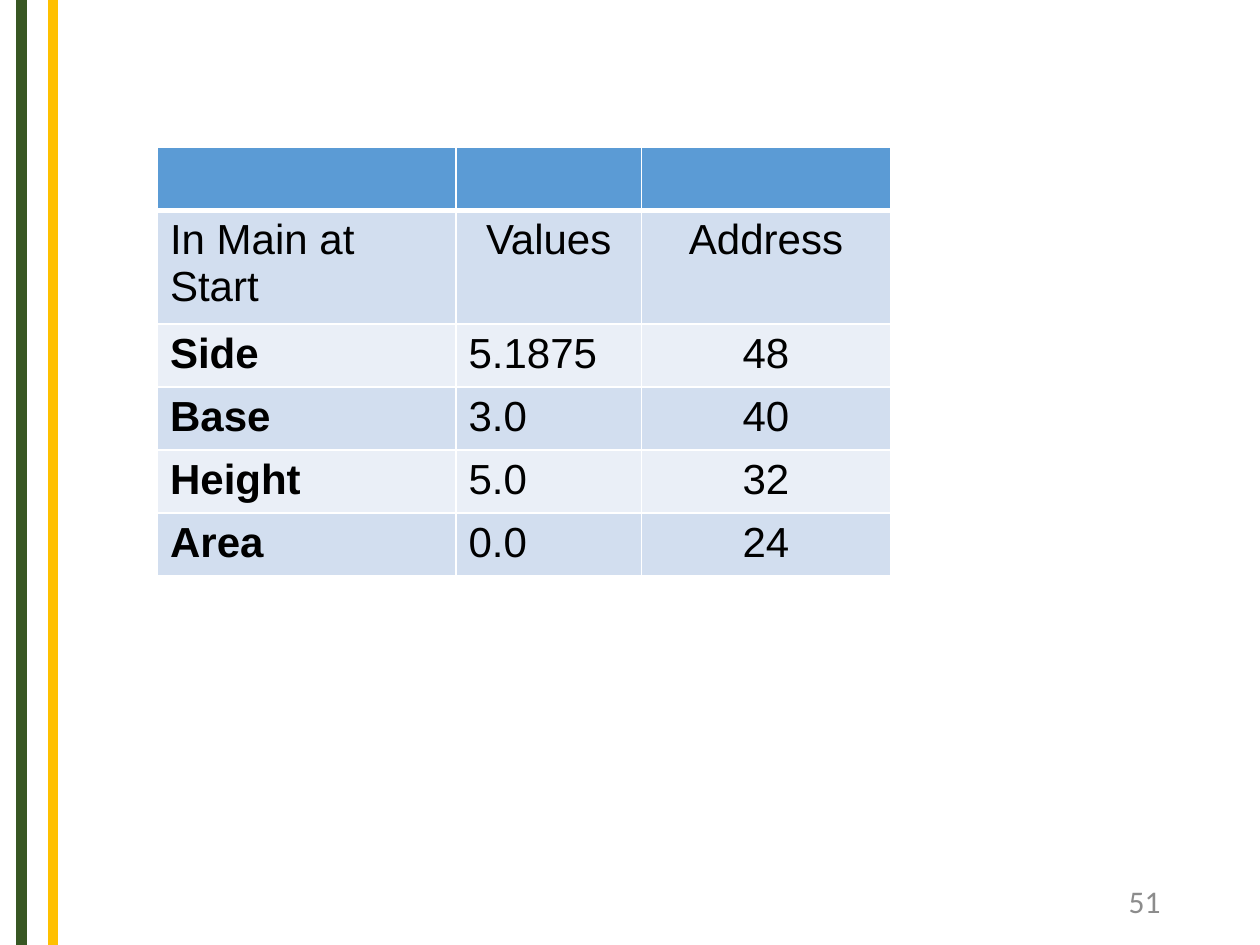
from dataclasses import dataclass

from lxml import etree
from pptx import Presentation
from pptx.dml.color import RGBColor
from pptx.enum.shapes import MSO_CONNECTOR
from pptx.enum.text import MSO_ANCHOR, PP_ALIGN
from pptx.oxml.ns import qn
from pptx.util import Inches, Pt

LEFT, CENTER, RIGHT = PP_ALIGN.LEFT, PP_ALIGN.CENTER, PP_ALIGN.RIGHT
MIDDLE = MSO_ANCHOR.MIDDLE
STRAIGHT = MSO_CONNECTOR.STRAIGHT


@dataclass(frozen=True)
class Theme:
    green: str = "385723"
    gold: str = "FFC000"
    header: str = "5B9BD5"
    bands: tuple = ("D2DEEF", "EAEFF7")
    border: str = "FFFFFF"
    text: str = "000000"
    muted: str = "8C8C8C"
    table_font: str = "Arial"
    number_font: str = "Calibri"
    table_size: int = 24
    number_size: int = 18
    stripe_width: int = 6


THEME = Theme()
PAGE_WIDTH, PAGE_HEIGHT = 10, 7.5
COLUMN_WIDTHS = (2.37, 1.47, 1.98)
ROW_HEIGHTS = (0.5, 0.84) + (0.47,) * 4
ROWS = (
    ("", "", ""),
    ("In Main at Start", "Values", "Address"),
    ("Side", "5.1875", "48"),
    ("Base", "3.0", "40"),
    ("Height", "5.0", "32"),
    ("Area", "0.0", "24"),
)


def add_span(para, text, font, size, color, bold=False):
    span = para.add_run()
    span.text = text
    span.font.name = font
    span.font.size = Pt(size)
    span.font.bold = bold
    span.font.color.rgb = RGBColor.from_string(color)


def add_stripe(page, x, color):
    stripe = page.shapes.add_connector(
        STRAIGHT, Inches(x), 0, Inches(x), Inches(PAGE_HEIGHT))
    stripe.line.color.rgb = RGBColor.from_string(color)
    stripe.line.width = Pt(THEME.stripe_width)
    etree.SubElement(stripe._element.spPr, qn("a:effectLst"))


def add_page_number(page, number):
    box = page.shapes.add_textbox(
        Inches(7.06), Inches(6.95), Inches(2.25), Inches(0.4))
    frame = box.text_frame
    frame.word_wrap = True
    frame.vertical_anchor = MIDDLE
    para = frame.paragraphs[0]
    para.alignment = RIGHT
    add_span(para, number, THEME.number_font, THEME.number_size, THEME.muted)


def set_borders(cell, bottom):
    properties = cell._tc.get_or_add_tcPr()
    for side, width in (("L", 1), ("R", 1), ("T", 1), ("B", bottom)):
        edge = etree.SubElement(properties, qn(f"a:ln{side}"), w=str(Pt(width)))
        fill = etree.SubElement(edge, qn("a:solidFill"))
        etree.SubElement(fill, qn("a:srgbClr"), val=THEME.border)


def fill_cell(cell, text, row, column):
    is_header = row == 0
    set_borders(cell, bottom=3 if is_header else 1)
    color = THEME.header if is_header else THEME.bands[(row - 1) % 2]
    cell.fill.solid()
    cell.fill.fore_color.rgb = RGBColor.from_string(color)
    if text:
        para = cell.text_frame.paragraphs[0]
        centered = column == 2 or (row == 1 and column == 1)
        para.alignment = CENTER if centered else LEFT
        add_span(para, text, THEME.table_font, THEME.table_size, THEME.text,
                 bold=row > 1 and column == 0)


def add_memory_table(page):
    table = page.shapes.add_table(
        len(ROWS), len(COLUMN_WIDTHS), Inches(1.25), Inches(1.17),
        Inches(sum(COLUMN_WIDTHS)), Inches(sum(ROW_HEIGHTS))).table
    for column, width in zip(table.columns, COLUMN_WIDTHS):
        column.width = Inches(width)
    for row, height in zip(table.rows, ROW_HEIGHTS):
        row.height = Inches(height)
    for r, texts in enumerate(ROWS):
        for c, text in enumerate(texts):
            fill_cell(table.cell(r, c), text, r, c)


def main():
    deck = Presentation()
    deck.slide_width = Inches(PAGE_WIDTH)
    deck.slide_height = Inches(PAGE_HEIGHT)
    page = deck.slides.add_slide(deck.slide_layouts[6])

    # Left edge stripes
    for x, color in ((0.17, THEME.green), (0.42, THEME.gold)):
        add_stripe(page, x, color)

    # Page number and table of variables
    add_page_number(page, "51")
    add_memory_table(page)

    deck.save("out.pptx")


main()
